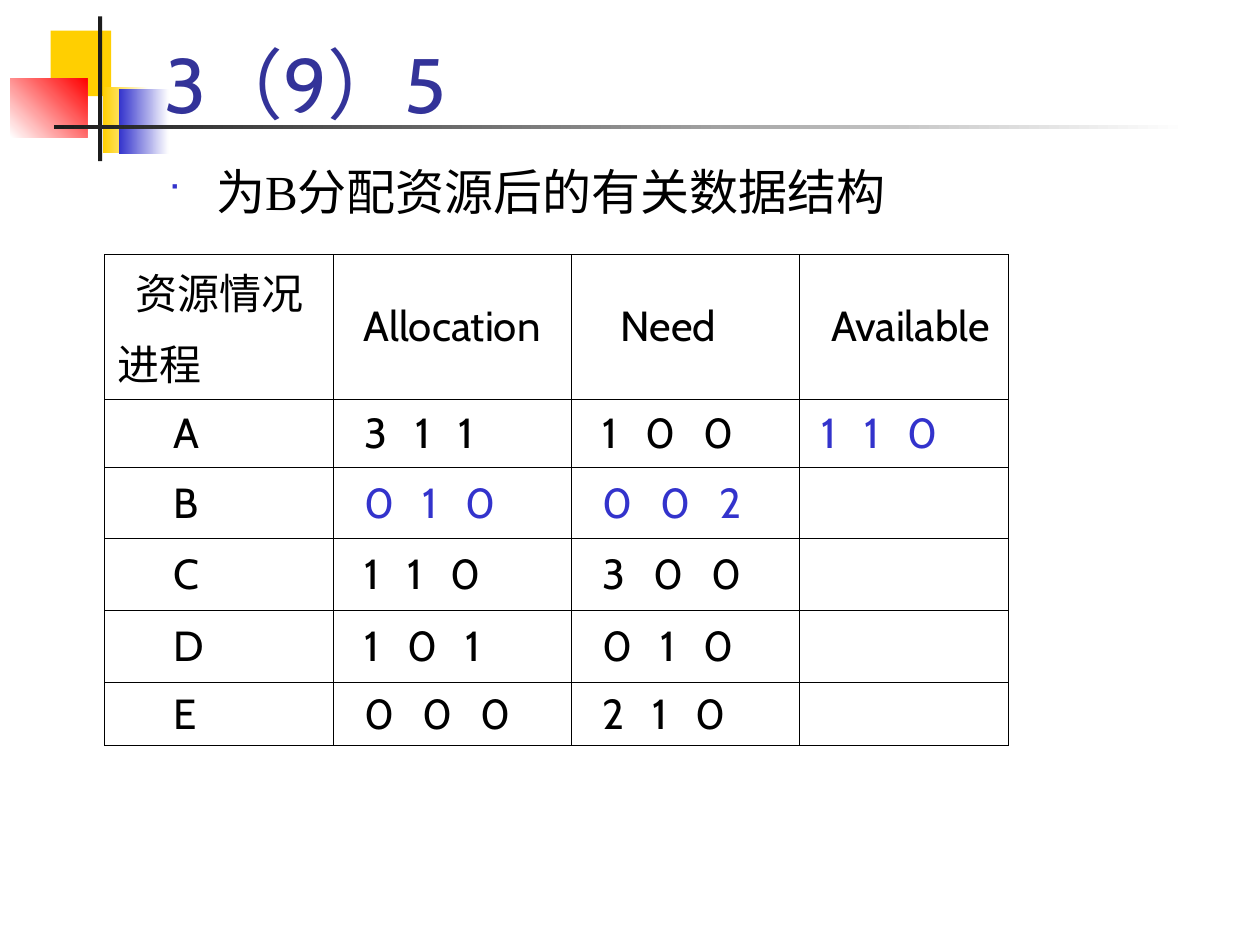
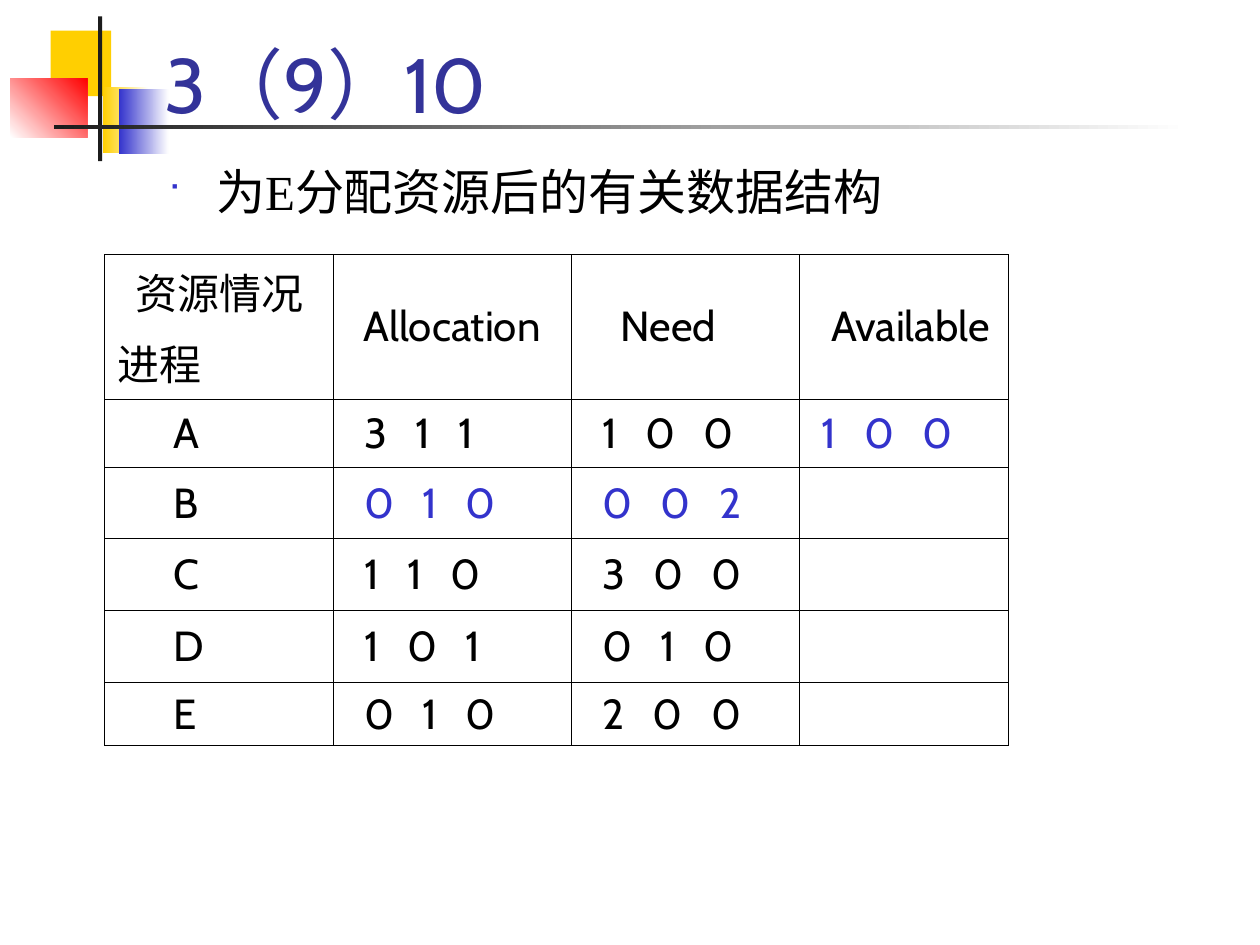
import pptx
import pptx.dml.color
import pptx.enum.shapes
import pptx.enum.text
import pptx.oxml.ns
import pptx.util
import lxml.etree

Cm, Pt = pptx.util.Cm, pptx.util.Pt

HEADER = ["资源情况\n进程", "Allocation", "Need", "Available"]
SLIDES = [
    {
        "title": "3（9）5",
        "bullet": "为B分配资源后的有关数据结构",
        "rows": [
            ["A", "3 1 1", "1 0 0", "1 1 0"],
            ["B", "0 1 0", "0 0 2", ""],
            ["C", "1 1 0", "3 0 0", ""],
            ["D", "1 0 1", "0 1 0", ""],
            ["E", "0 0 0", "2 1 0", ""],
        ],
    },
    {
        "title": "3（9）10",
        "bullet": "为E分配资源后的有关数据结构",
        "rows": [
            ["A", "3 1 1", "1 0 0", "1 0 0"],
            ["B", "0 1 0", "0 0 2", ""],
            ["C", "1 1 0", "3 0 0", ""],
            ["D", "1 0 1", "0 1 0", ""],
            ["E", "0 1 0", "2 0 0", ""],
        ],
    },
]

BLACK, BLUE, WHITE = "000000", "3333CC", "FFFFFF"
GOLD, RED, DARK = "FFCF01", "FF0000", "1C1C1C"
DECOR = [
    ((1.02, 0.62, 1.22, 1.32), [GOLD], 0),
    ((2.08, 1.75, 0.91, 1.33), [GOLD, WHITE], 0),
    ((2.4, 1.8, 1.0, 1.31), [BLUE, WHITE], 0),
    ((0.21, 1.58, 1.55, 1.19), [WHITE, RED], 45),
    ((1.98, 0.33, 0.08, 2.92), [DARK], 0),
    ((1.09, 2.52, 22.86, 0.08), [DARK, WHITE], 0),
]
TITLE_BOX = (3.06, 0.41, 21.64, 2.31)
BULLET_BOX = (3.14, 3.13, 20.96, 2.18)
TABLE_AT = (2.11, 5.13)
COL_WIDTHS = [4.61, 4.8, 4.6, 4.21]
ROW_HEIGHTS = [2.92, 1.37, 1.44, 1.45, 1.45, 1.27]
HEADER_INDENTS = [0.36, 0.36, 0.74, 0.38]
BODY_INDENTS = [1.14, 0.37, 0.37, 0.18]
HIGHLIGHTED = {(1, 3), (2, 1), (2, 2)}
DIGIT_SPACING = Pt(5.4)

TITLE_FONT = {"name": "Cabin", "size": Pt(44), "color": "333399"}
BULLET_FONT = {"name": "Times New Roman", "size": Pt(28), "color": BLACK}
CELL_FONT = {"name": "Cabin", "size": Pt(24), "color": BLACK}


def rgb(value):
    return pptx.dml.color.RGBColor.from_string(value)


def add_child(parent, tag, **attrs):
    el = lxml.etree.SubElement(parent, pptx.oxml.ns.qn(tag))
    for key, value in attrs.items():
        el.set(key, str(value))
    return el


def write(p, text, fmt):
    r = p.add_run()
    r.text = text
    for key, value in fmt.items():
        if key == "color":
            r.font.color.rgb = rgb(value)
        else:
            setattr(r.font, key, value)
    return r


def add_decor(s):
    for box, colours, angle in DECOR:
        sp = s.shapes.add_shape(pptx.enum.shapes.MSO_SHAPE.RECTANGLE, *map(Cm, box))
        sp.shadow.inherit = False
        sp.line.fill.background()
        if len(colours) == 1:
            sp.fill.solid()
            sp.fill.fore_color.rgb = rgb(colours[0])
        else:
            sp.fill.gradient()
            sp.fill.gradient_angle = angle
            for stop, colour in zip(sp.fill.gradient_stops, colours):
                stop.color.rgb = rgb(colour)


def add_text(s, box, text, fmt, anchor):
    tf = s.shapes.add_textbox(*map(Cm, box)).text_frame
    tf.word_wrap = True
    tf.vertical_anchor = anchor
    p = tf.paragraphs[0]
    write(p, text, fmt)
    return p


def set_bullet(p):
    pPr = p._p.get_or_add_pPr()
    pPr.set("marL", str(Cm(0.97)))
    pPr.set("indent", str(-Cm(0.97)))
    add_child(add_child(pPr, "a:buClr"), "a:srgbClr", val=BLUE)
    add_child(pPr, "a:buSzPct", val=60000)
    add_child(pPr, "a:buFont", typeface="Wingdings")
    add_child(pPr, "a:buChar", char="■")


def style_cell(cell):
    tcPr = cell._tc.get_or_add_tcPr()
    for side in "LRTB":
        ln = add_child(tcPr, f"a:ln{side}", w=Pt(0.45))
        add_child(add_child(ln, "a:solidFill"), "a:srgbClr", val=BLACK)
    cell.fill.background()


def fill_cell(cell, text, row, col):
    tf = cell.text_frame
    indent = BODY_INDENTS[col] if row else HEADER_INDENTS[col]
    colour = BLUE if (row, col) in HIGHLIGHTED else BLACK
    for i, line in enumerate(text.split("\n")):
        p = tf.add_paragraph() if i else tf.paragraphs[0]
        if i:
            p.space_before = Pt(6)
        else:
            p._p.get_or_add_pPr().set("marL", str(Cm(indent)))
        r = write(p, line, {**CELL_FONT, "color": colour})
        if row and col:
            r._r.get_or_add_rPr().set("spc", str(round(DIGIT_SPACING.pt * 100)))


def add_resource_table(s, rows):
    size = sum(COL_WIDTHS), sum(ROW_HEIGHTS)
    table = s.shapes.add_table(len(rows), len(COL_WIDTHS), *map(Cm, TABLE_AT + size)).table
    table.first_row = table.horz_banding = False
    for column, width in zip(table.columns, COL_WIDTHS):
        column.width = Cm(width)
    for row, height in enumerate(ROW_HEIGHTS):
        table.rows[row].height = Cm(height)
        for col, text in enumerate(rows[row]):
            cell = table.cell(row, col)
            style_cell(cell)
            if row or col:
                cell.vertical_anchor = pptx.enum.text.MSO_ANCHOR.MIDDLE
            if text:
                fill_cell(cell, text, row, col)


def main():
    prs = pptx.Presentation()
    prs.slide_width, prs.slide_height = Cm(25.4), Cm(19.05)
    for content in SLIDES:
        s = prs.slides.add_slide(prs.slide_layouts[6])
        add_decor(s)
        add_text(s, TITLE_BOX, content["title"], TITLE_FONT, pptx.enum.text.MSO_ANCHOR.BOTTOM)
        set_bullet(add_text(s, BULLET_BOX, content["bullet"], BULLET_FONT, pptx.enum.text.MSO_ANCHOR.TOP))
        add_resource_table(s, [HEADER] + content["rows"])
    prs.save("out.pptx")


if __name__ == "__main__":
    main()
